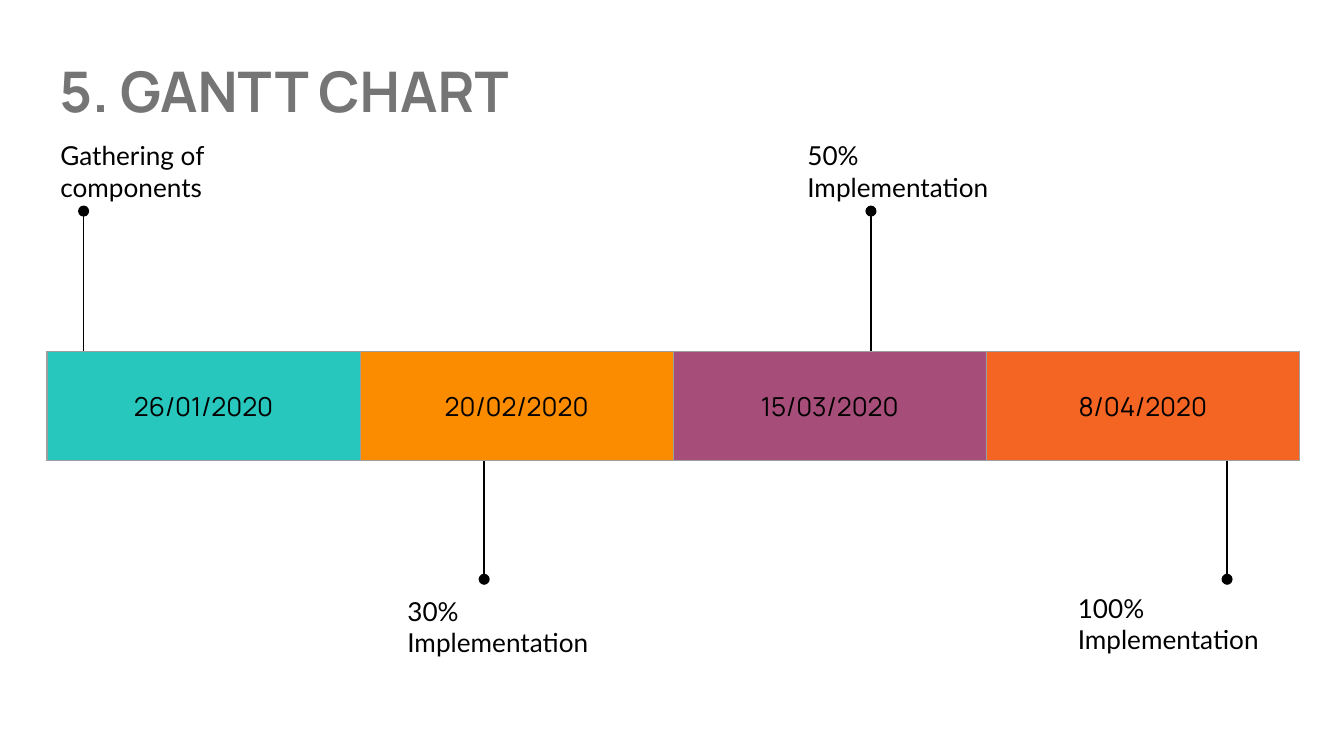
from lxml import etree
from pptx import Presentation
from pptx.dml.color import RGBColor
from pptx.enum.shapes import MSO_CONNECTOR
from pptx.enum.text import MSO_ANCHOR, MSO_AUTO_SIZE, PP_ALIGN
from pptx.oxml.ns import qn
from pptx.util import Cm, Pt

STRAIGHT = MSO_CONNECTOR.STRAIGHT
TOP, MIDDLE = MSO_ANCHOR.TOP, MSO_ANCHOR.MIDDLE
LEFT, CENTER = PP_ALIGN.LEFT, PP_ALIGN.CENTER
FIXED_SIZE = MSO_AUTO_SIZE.NONE

BLACK = RGBColor(0x00, 0x00, 0x00)
GREY = RGBColor(0x75, 0x75, 0x75)
BORDER_GREY = RGBColor(0x9E, 0x9E, 0x9E)
TEAL = RGBColor(0x27, 0xC7, 0xBD)
AMBER = RGBColor(0xFB, 0x8C, 0x00)
PLUM = RGBColor(0xA6, 0x4D, 0x79)
ORANGE = RGBColor(0xF4, 0x65, 0x24)

TITLE_ONLY = 5
BAR_LEFT, BAR_TOP, BAR_WIDTH, BAR_HEIGHT = 0.89, 6.65, 23.67, 2.06
INSET = 0.25

PERIODS = [("26/01/2020", TEAL), ("20/02/2020", AMBER),
           ("15/03/2020", PLUM), ("8/04/2020", ORANGE)]

# Label, its box (left, top, width, height), marker (x, start y, end y), all in cm
MILESTONES = [
    ("Gathering of components", (0.89, 2.39, 4.47, 0.89), (1.58, 6.65, 3.99)),
    ("30% Implementation", (7.45, 11.0, 4.98, 1.35), (9.15, 8.64, 10.95)),
    ("50% Implementation", (15.01, 2.39, 4.14, 1.22), (16.46, 6.65, 3.99)),
    ("100% Implementation", (20.12, 10.95, 4.47, 1.22), (23.19, 8.66, 10.95)),
]


def write_text(text_frame, text, font="Lato", size=14, color=BLACK,
               bold=False, align=LEFT):
    paragraph = text_frame.paragraphs[0]
    paragraph.alignment = align
    run = paragraph.add_run()
    run.text = text
    run.font.name = font
    run.font.size = Pt(size)
    run.font.bold = bold
    run.font.color.rgb = color


def set_borders(cell, color, width):
    properties = cell._tc.get_or_add_tcPr()
    for index, side in enumerate(("a:lnL", "a:lnR", "a:lnT", "a:lnB")):
        line = etree.Element(qn(side), w=str(Pt(width)))
        fill = etree.SubElement(line, qn("a:solidFill"))
        etree.SubElement(fill, qn("a:srgbClr"), val=str(color))
        properties.insert(index, line)


class TimelineSlide:
    def __init__(self, presentation):
        self.slide = presentation.slides.add_slide(
            presentation.slide_layouts[TITLE_ONLY])
        self.heading_font = "Manrope"
        self.line_width = 0.75

    def format_frame(self, text_frame, anchor):
        text_frame.word_wrap = True
        text_frame.auto_size = FIXED_SIZE
        text_frame.vertical_anchor = anchor
        text_frame.margin_left = text_frame.margin_right = Cm(INSET)
        text_frame.margin_top = text_frame.margin_bottom = Cm(INSET)

    def title(self, text, left, top, width, height):
        shape = self.slide.shapes.title
        shape.left, shape.top = Cm(left), Cm(top)
        shape.width, shape.height = Cm(width), Cm(height)
        self.format_frame(shape.text_frame, MIDDLE)
        write_text(shape.text_frame, text, font=self.heading_font, size=30,
                   color=GREY, bold=True)

    def label(self, text, left, top, width, height):
        shape = self.slide.shapes.add_textbox(
            Cm(left), Cm(top), Cm(width), Cm(height))
        self.format_frame(shape.text_frame, TOP)
        write_text(shape.text_frame, text)

    def marker(self, x, start, end):
        """Draw a vertical line that ends in a dot."""
        connector = self.slide.shapes.add_connector(
            STRAIGHT, Cm(x), Cm(start), Cm(x), Cm(end))
        connector.line.color.rgb = BLACK
        connector.line.width = Pt(self.line_width)
        etree.SubElement(connector.line._get_or_add_ln(), qn("a:tailEnd"),
                         type="oval", w="med", len="med")
        etree.SubElement(connector._element.spPr, qn("a:effectLst"))

    def period_bar(self, periods, left, top, width, height):
        table = self.slide.shapes.add_table(
            1, len(periods), Cm(left), Cm(top), Cm(width), Cm(height)).table
        table.first_row = table.horz_banding = False
        for cell, (date, color) in zip(table.iter_cells(), periods):
            cell.fill.solid()
            cell.fill.fore_color.rgb = color
            cell.vertical_anchor = MIDDLE
            cell.margin_left = cell.margin_right = Cm(INSET)
            cell.margin_top = cell.margin_bottom = Cm(INSET)
            set_borders(cell, BORDER_GREY, self.line_width)
            write_text(cell.text_frame, date, font=self.heading_font,
                       align=CENTER)


def main():
    presentation = Presentation()
    presentation.slide_width, presentation.slide_height = Cm(25.4), Cm(14.29)
    timeline = TimelineSlide(presentation)
    timeline.title("5. GANTT CHART", 0.87, 0.81, BAR_WIDTH, 1.78)
    for _, _, marker in MILESTONES:
        timeline.marker(*marker)
    timeline.period_bar(PERIODS, BAR_LEFT, BAR_TOP, BAR_WIDTH, BAR_HEIGHT)
    for text, box, _ in MILESTONES:
        timeline.label(text, *box)
    presentation.save("out.pptx")


if __name__ == "__main__":
    main()
